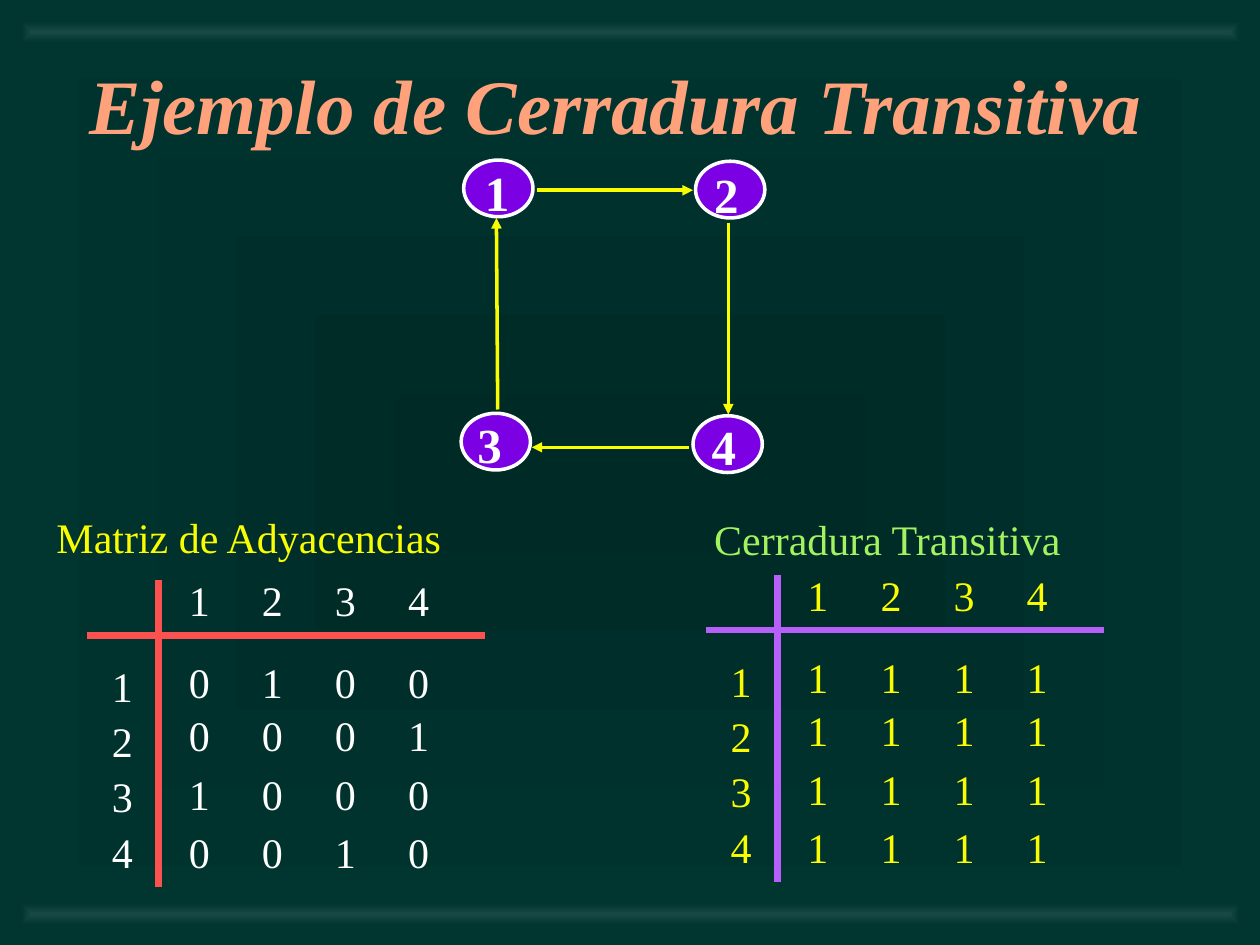
from lxml.etree import SubElement
from pptx import Presentation
from pptx.dml.color import RGBColor
from pptx.enum.shapes import MSO_CONNECTOR, MSO_SHAPE
from pptx.enum.text import MSO_ANCHOR, MSO_AUTO_SIZE, PP_ALIGN
from pptx.oxml.ns import qn
from pptx.util import Inches, Pt

FONT = "Times New Roman"
CENTRE, EDGE, BAR = RGBColor(0, 0x2A, 0x26), RGBColor(0, 0x35, 0x30), RGBColor(0x19, 0x49, 0x44)
SALMON = RGBColor(0xFF, 0xA2, 0x7C)
WHITE = RGBColor(0xFF, 0xFF, 0xFF)
YELLOW = RGBColor(0xFA, 0xFD, 0x00)
GREEN = RGBColor(0xA3, 0xF2, 0x5F)
RED = RGBColor(0xFC, 0x52, 0x4F)
LILAC = RGBColor(0xB7, 0x60, 0xF9)
PURPLE = RGBColor(0x7B, 0x00, 0xE4)

# Content: lengths in inches
TITLE = "Ejemplo de Cerradura Transitiva"
NODES = [  # label, oval corner, label corner, label width
    ("1", (3.68, 1.27), (3.75, 1.24), 0.4),
    ("2", (5.52, 1.28), (5.57, 1.26), 0.4),
    ("3", (3.66, 3.28), (3.69, 3.24), 0.48),
    ("4", (5.5, 3.3), (5.55, 3.26), 0.48),
]
EDGES = [  # start, end
    ((4.26, 1.51), (5.5, 1.51)),    # 1 to 2
    ((5.47, 3.55), (4.22, 3.55)),   # 4 to 3
    ((5.78, 1.77), (5.78, 3.29)),   # 2 to 4
    ((3.95, 3.25), (3.94, 1.73)),   # 3 to 1
]
VERTICES = ["1", "2", "3", "4"]
MATRICES = [
    dict(caption="Matriz de Adyacencias", caption_at=(0.35, 4.01, 3.27), caption_color=YELLOW,
         origin=(0.69, 4.6), rule_color=RED, color=WHITE,
         rows=["0100", "0001", "1000", "0010"]),
    dict(caption="Cerradura Transitiva", caption_at=(5.57, 4.03, 2.97), caption_color=GREEN,
         origin=(5.6, 4.56), rule_color=LILAC, color=YELLOW,
         rows=["1111"] * 4),
]
ROW_TOPS = (0.56, 0.98, 1.45, 1.91)  # below the matrix origin
COLUMN_PITCH = 0.58

prs = Presentation()
prs.slide_width, prs.slide_height = Inches(10), Inches(7.5)
slide = prs.slides.add_slide(prs.slide_layouts[6])


def fill_from_centre(fill, owner, inner, outer):
    fill.gradient()
    for stop, color, position in zip(fill.gradient_stops, (inner, outer), (0, 1)):
        stop.color.rgb = color
        stop.position = position
    gradient = next(owner.iter(qn("a:gradFill")))
    gradient.remove(gradient.find(qn("a:lin")))
    rect_gradient = SubElement(gradient, qn("a:path"), path="rect")
    SubElement(rect_gradient, qn("a:fillToRect"), l="50000", t="50000", r="50000", b="50000")


def add_text(lines, left, top, width, height, size, color, *, bold=False, italic=False,
             wrap=False, spacing=None, align=None, tab_count=0):
    box = slide.shapes.add_textbox(Inches(left), Inches(top), Inches(width), Inches(height))
    frame = box.text_frame
    frame.word_wrap = wrap
    frame.auto_size = MSO_AUTO_SIZE.NONE if wrap else MSO_AUTO_SIZE.SHAPE_TO_FIT_TEXT
    for i, line in enumerate(lines):
        paragraph = frame.paragraphs[0] if i == 0 else frame.add_paragraph()
        paragraph.alignment = align
        if spacing:
            paragraph.line_spacing = spacing
        if tab_count:
            tabs = SubElement(paragraph._p.get_or_add_pPr(), qn("a:tabLst"))
            for column in range(1, tab_count + 1):
                SubElement(tabs, qn("a:tab"), pos=str(Inches(column * COLUMN_PITCH)), algn="l")
        run = paragraph.add_run()
        run.text = line
        font = run.font
        font.name, font.size, font.bold, font.italic = FONT, Pt(size), bold, italic
        font.color.rgb = color
    return frame


def add_line(start, end, color, width, arrow=False):
    line = slide.shapes.add_connector(MSO_CONNECTOR.STRAIGHT, *map(Inches, start + end))
    line.line.color.rgb = color
    line.line.width = Pt(width)
    if arrow:
        SubElement(line.line._get_or_add_ln(), qn("a:tailEnd"), type="triangle")
    SubElement(line.element.spPr, qn("a:effectLst"))


# Background and the two bars
fill_from_centre(slide.background.fill, slide.element, CENTRE, EDGE)
for bar_top in (0.17, 7.17):
    bar = slide.shapes.add_shape(MSO_SHAPE.RECTANGLE, Inches(0.17), Inches(bar_top),
                                 Inches(9.67), Inches(0.17))
    fill_from_centre(bar.fill, bar.element, BAR, EDGE)
    bar.line.fill.background()
    bar.shadow.inherit = False

# Title
title = add_text([TITLE], 0.26, 0.2, 9.26, 1.25, 44, SALMON, bold=True, italic=True,
                 wrap=True, align=PP_ALIGN.CENTER)
title.vertical_anchor = MSO_ANCHOR.MIDDLE

# Graph: ovals, arrows, labels
for _, (left, top), _, _ in NODES:
    oval = slide.shapes.add_shape(MSO_SHAPE.OVAL, Inches(left), Inches(top),
                                  Inches(0.55), Inches(0.45))
    oval.fill.solid()
    oval.fill.fore_color.rgb = PURPLE
    oval.line.color.rgb = WHITE
    oval.line.width = Pt(2)
    oval.shadow.inherit = False
for start, end in EDGES:
    add_line(start, end, YELLOW, 2, arrow=True)
for label, _, (left, top), width in NODES:
    add_text([label], left, top, width, 0.57, 28, WHITE, bold=True, wrap=True)

# Matrices: rules, caption, column heads, row heads, values
for matrix in MATRICES:
    x, y = matrix["origin"]
    color = matrix["color"]
    add_line((x + 0.57, y), (x + 0.57, y + 2.44), matrix["rule_color"], 4)
    add_line((x, y + 0.44), (x + 3.16, y + 0.44), matrix["rule_color"], 4)
    left, top, width = matrix["caption_at"]
    add_text([matrix["caption"]], left, top, width, 0.5, 24, matrix["caption_color"])
    add_text(VERTICES, x + 0.1, y + 0.55, 0.37, 1.86, 24, color, spacing=1.1)
    for values, row_top in zip([VERTICES] + matrix["rows"], (-0.09,) + ROW_TOPS):
        add_text(["\t".join(values)], x + 0.71, y + row_top, 2.12, 0.5, 24, color,
                 tab_count=len(values) - 1)

prs.save("out.pptx")
